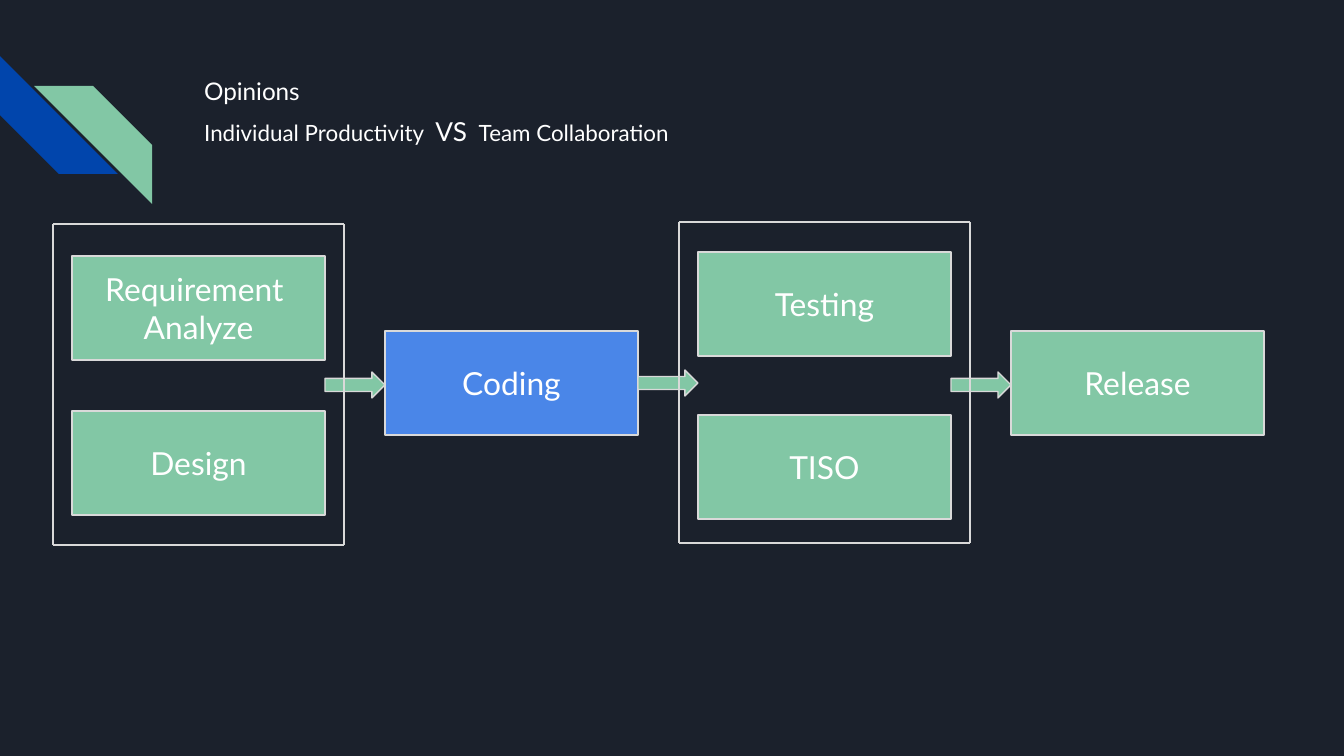
"""Build a slide showing a development workflow from requirements to release."""
from lxml.etree import SubElement
from pptx import Presentation
from pptx.dml.color import RGBColor
from pptx.enum.shapes import MSO_CONNECTOR, MSO_SHAPE
from pptx.enum.text import MSO_ANCHOR, PP_ALIGN
from pptx.oxml.ns import qn
from pptx.util import Emu, Inches, Pt

COLORS = {
    "background": "1B212C",
    "navy": "0145AC",
    "green": "82C7A5",
    "blue": "4A86E8",
    "border": "D9D9D9",
    "text": "FFFFFF",
}
FONT = "Lato"
TITLE = [("Opinions", 13)]
SUBTITLE = [("Individual Productivity ", 12), (" VS ", 14), (" Team Collaboration", 12)]
STRIPES = [(0, 56, 270, "navy"), (34, 86, 90, "green")]
STEPS = [
    ("Release", 3, 331, "green"),
    ("Coding", 1, 331, "blue"),
    ("Requirement \nAnalyze", 0, 256, "green"),
    ("TISO", 2, 415, "green"),
    ("Testing", 2, 252, "green"),
    ("Design", 0, 411, "green"),
]
ARROW_TOPS = [372, 370, 372]
FRAMES = [(0, 224), (2, 222)]

FIRST_LEFT, COLUMN_PITCH = 72, 313
STEP_WIDTH, STEP_HEIGHT = 253, 104
ARROW_HEIGHT = 26
FRAME_MARGIN, FRAME_HEIGHT = 19, 321
STRIPE_SIZE = 118


def px(length):
    return Emu(round(length * 914400 / 134.4))


def color(name):
    return RGBColor.from_string(COLORS[name])


def column_left(column):
    return FIRST_LEFT + column * COLUMN_PITCH


def write_text(text_frame, runs, align=PP_ALIGN.LEFT, anchor=MSO_ANCHOR.TOP, line_spacing=1.0):
    text_frame.word_wrap = True
    text_frame.vertical_anchor = anchor
    text_frame.margin_left = text_frame.margin_right = Inches(0.1)
    text_frame.margin_top = text_frame.margin_bottom = Inches(0.1)
    paragraph = text_frame.paragraphs[0]
    paragraph.alignment = align
    paragraph.line_spacing = line_spacing
    for text, size in runs:
        for index, line in enumerate(text.split("\n")):
            if index:
                paragraph.add_line_break()
            run = paragraph.add_run()
            run.text = line
            run.font.name = FONT
            run.font.size = Pt(size)
            run.font.color.rgb = color("text")


def add_shape(slide, kind, left, top, width, height, fill, border=None):
    shape = slide.shapes.add_shape(kind, px(left), px(top), px(width), px(height))
    shape.shadow.inherit = False
    shape.fill.solid()
    shape.fill.fore_color.rgb = color(fill)
    if border:
        shape.line.color.rgb = color(border)
        shape.line.width = Pt(0.75)
    else:
        shape.line.fill.background()
    return shape


def add_textbox(slide, left, top, width, height, runs, **text_format):
    textbox = slide.shapes.add_textbox(px(left), px(top), px(width), px(height))
    write_text(textbox.text_frame, runs, **text_format)


def add_frame(slide, left, top, width, height):
    right, bottom = left + width, top + height
    corners = [(left, top), (right, top), (right, bottom), (left, bottom)]
    for start, end in zip(corners, corners[1:] + corners[:1]):
        side = slide.shapes.add_connector(
            MSO_CONNECTOR.STRAIGHT, *(px(length) for length in start + end)
        )
        side.line.color.rgb = color("border")
        side.line.width = Pt(0.75)
        SubElement(side._element.spPr, qn("a:effectLst"))


def main():
    presentation = Presentation()
    presentation.slide_width, presentation.slide_height = px(1344), px(756)
    slide = presentation.slides.add_slide(presentation.slide_layouts[6])
    slide.background.fill.solid()
    slide.background.fill.fore_color.rgb = color("background")

    for left, top, rotation, fill in STRIPES:
        stripe = add_shape(
            slide, MSO_SHAPE.DIAGONAL_STRIPE, left, top, STRIPE_SIZE, STRIPE_SIZE, fill
        )
        stripe.rotation = rotation

    add_textbox(slide, 191, 58, 1035, 134, TITLE, line_spacing=1.15)
    add_textbox(slide, 191, 102, 710, 90, SUBTITLE)

    for label, column, top, fill in STEPS:
        step = add_shape(
            slide, MSO_SHAPE.RECTANGLE, column_left(column), top,
            STEP_WIDTH, STEP_HEIGHT, fill, "border",
        )
        write_text(step.text_frame, [(label, 17)], align=PP_ALIGN.CENTER, anchor=MSO_ANCHOR.MIDDLE)

    for column, top in enumerate(ARROW_TOPS):
        add_shape(
            slide, MSO_SHAPE.RIGHT_ARROW, column_left(column) + STEP_WIDTH, top,
            COLUMN_PITCH - STEP_WIDTH, ARROW_HEIGHT, "green", "border",
        )

    for column, top in FRAMES:
        add_frame(
            slide, column_left(column) - FRAME_MARGIN, top,
            STEP_WIDTH + 2 * FRAME_MARGIN, FRAME_HEIGHT,
        )

    presentation.save("out.pptx")


if __name__ == "__main__":
    main()
